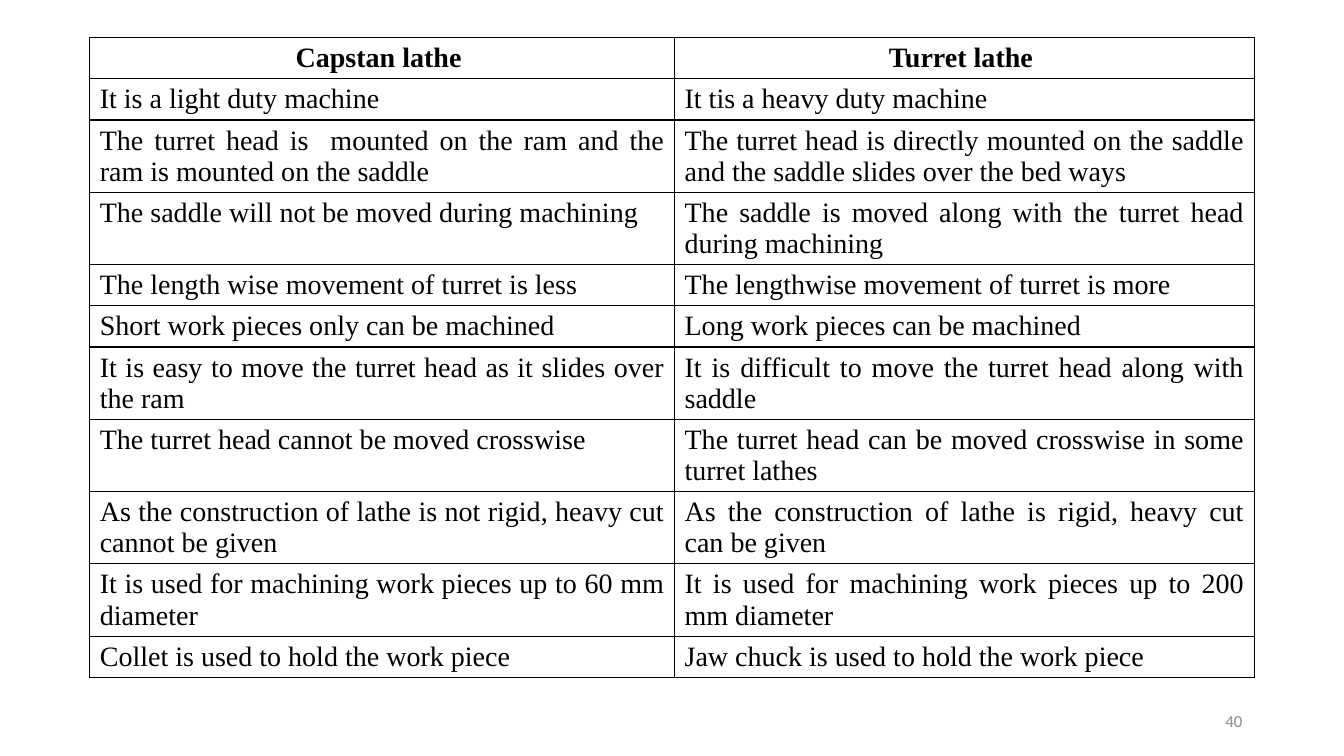
from dataclasses import dataclass

from lxml.etree import SubElement
from pptx import Presentation
from pptx.dml.color import RGBColor
from pptx.enum.text import MSO_ANCHOR, PP_ALIGN
from pptx.oxml.ns import qn
from pptx.util import Inches, Pt


@dataclass(frozen=True)
class Theme:
    """Colours, fonts and sizes of the slide."""
    ink: str = "000000"
    paper: str = "FFFFFF"
    muted: str = "8C8C8C"
    table_font: str = "Times New Roman"
    number_font: str = "Calibri"
    table_size: int = 20
    number_size: int = 12
    border: int = 1


THEME = Theme()

LATHES = [
    ("Capstan lathe ", "Turret lathe "),
    ("It is a light duty machine", "It tis a heavy duty machine"),
    ("The turret head is  mounted on the ram and the ram is mounted on the saddle",
     "The turret head is directly mounted on the saddle and the saddle slides over the bed ways"),
    ("The saddle will not be moved during machining",
     "The saddle is moved along with the turret head during machining"),
    ("The length wise movement of turret is less",
     "The lengthwise movement of turret is more"),
    ("Short work pieces only can be machined", "Long work pieces can be machined"),
    ("It is easy to move the turret head as it slides over the ram",
     "It is difficult to move the turret head along with saddle"),
    ("The turret head cannot be moved crosswise",
     "The turret head can be moved crosswise in some turret lathes"),
    ("As the construction of lathe is not rigid, heavy cut cannot be given",
     "As the construction of lathe is rigid, heavy cut can be given"),
    ("It is used for machining work pieces up to 60 mm diameter",
     "It is used for machining work pieces up to 200 mm diameter"),
    ("Collet is used to hold the work piece", "Jaw chuck is used to hold the work piece"),
]


def format_paragraph(p, align, font, size, color, bold=False):
    """Set the alignment and font of a paragraph."""
    p.alignment = align
    p.font.name = font
    p.font.size = Pt(size)
    p.font.bold = bold
    p.font.color.rgb = RGBColor.from_string(color)


def add_borders(cell):
    """Draw a solid line on all four sides of a cell."""
    tcPr = cell._tc.get_or_add_tcPr()
    for i, side in enumerate(("lnL", "lnR", "lnT", "lnB")):
        ln = SubElement(tcPr, qn(f"a:{side}"), w=str(Pt(THEME.border)))
        fill = SubElement(ln, qn("a:solidFill"))
        SubElement(fill, qn("a:srgbClr"), val=THEME.ink)
        tcPr.insert(i, ln)


def add_comparison(s, left, top, col_widths, row_height, rows):
    """Add a bordered table whose first row is a centred bold header."""
    shape = s.shapes.add_table(len(rows), len(col_widths), Inches(left), Inches(top),
                               Inches(sum(col_widths)), Inches(row_height * len(rows)))
    table = shape.table
    table.horz_banding = False
    for col, width in zip(table.columns, col_widths):
        col.width = Inches(width)
    for i, texts in enumerate(rows):
        table.rows[i].height = Inches(row_height)
        header = i == 0
        for j, text in enumerate(texts):
            cell = table.cell(i, j)
            cell.text = text
            cell.fill.solid()
            cell.fill.fore_color.rgb = RGBColor.from_string(THEME.paper)
            add_borders(cell)
            format_paragraph(cell.text_frame.paragraphs[0],
                             PP_ALIGN.CENTER if header else PP_ALIGN.JUSTIFY,
                             THEME.table_font, THEME.table_size, THEME.ink, header)


def add_page_number(s, left, top, width, height, text):
    """Add the right-aligned page number in its box."""
    box = s.shapes.add_textbox(Inches(left), Inches(top), Inches(width), Inches(height))
    tf = box.text_frame
    tf.word_wrap = True
    tf.vertical_anchor = MSO_ANCHOR.MIDDLE
    tf.text = text
    format_paragraph(tf.paragraphs[0], PP_ALIGN.RIGHT, THEME.number_font,
                     THEME.number_size, THEME.muted)


def main():
    """Build and save the slide."""
    prs = Presentation()
    prs.slide_width, prs.slide_height = Inches(13.33), Inches(7.5)
    s = prs.slides.add_slide(prs.slide_layouts[6])
    add_comparison(s, 0.89, 0.37, (5.8, 5.75), 0.41, LATHES)
    add_page_number(s, 9.42, 6.95, 3, 0.4, "40")
    prs.save("out.pptx")


if __name__ == "__main__":
    main()
